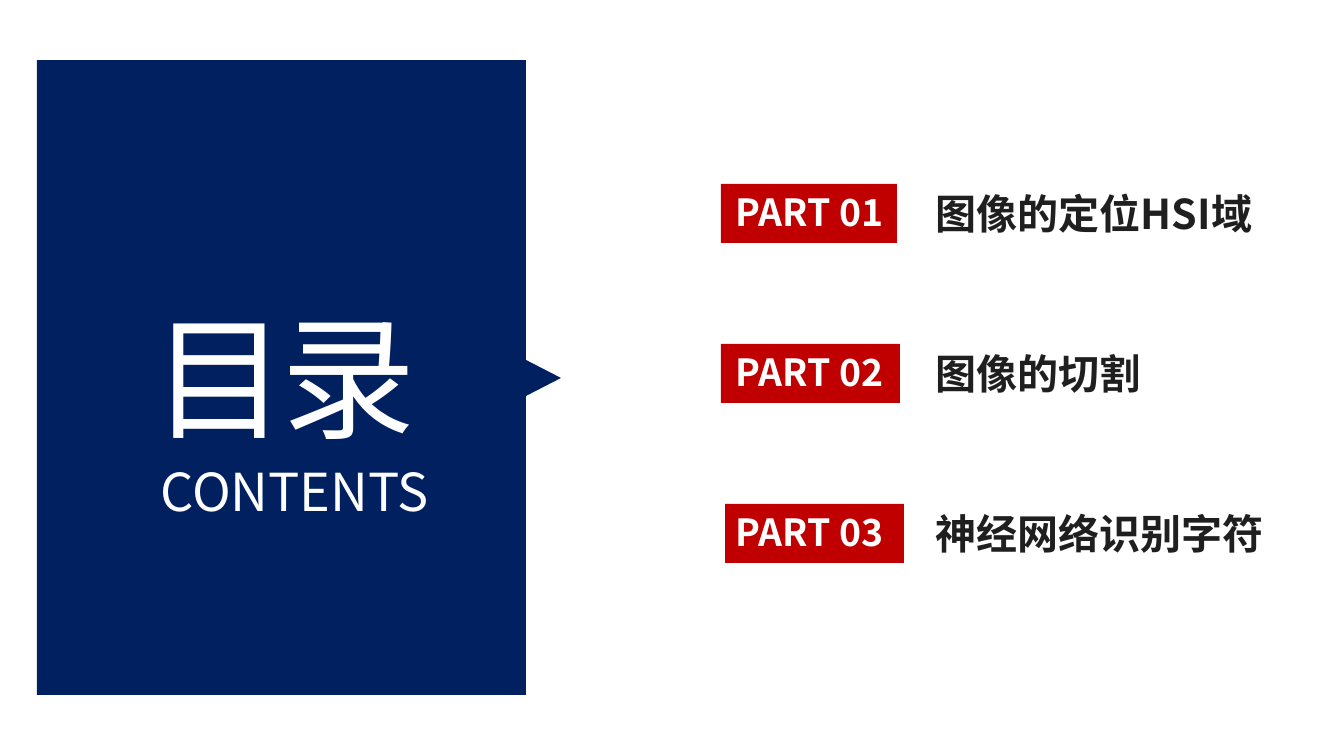
from lxml.etree import SubElement
from pptx import Presentation
from pptx.dml.color import RGBColor
from pptx.enum.shapes import MSO_SHAPE as Shape
from pptx.enum.text import MSO_ANCHOR as Anchor, MSO_AUTO_SIZE as AutoSize, PP_ALIGN as Align
from pptx.oxml.ns import qn
from pptx.util import Pt

NAVY = RGBColor(0x00, 0x20, 0x60)
RED = RGBColor(0xC0, 0x00, 0x00)
WHITE = RGBColor(0xFF, 0xFF, 0xFF)
INK = RGBColor(0x1F, 0x1F, 0x1F)
FONT = "Noto Sans CJK SC"
SLIDE_WIDTH, SLIDE_HEIGHT = 1344, 756
SCALE = 9144000 / SLIDE_WIDTH


def px(length):
    return round(length * SCALE)


class ContentsSlide:
    def __init__(self, deck):
        self.slide = deck.slides.add_slide(deck.slide_layouts[5])

    def block(self, kind, box, color, rotation=0):
        block = self.slide.shapes.add_shape(kind, *map(px, box))
        block.shadow.inherit = False
        block.fill.solid()
        block.fill.fore_color.rgb = color
        block.line.fill.background()
        block.rotation = rotation

    def set_words(self, holder, words, size, color, bold=False, align=Align.LEFT,
                  anchor=Anchor.TOP, spacing=0):
        frame = holder.text_frame
        frame.word_wrap = True
        frame.auto_size = AutoSize.NONE
        frame.vertical_anchor = anchor
        frame.margin_left = frame.margin_right = px(10)
        frame.margin_top = frame.margin_bottom = px(5)
        frame.text = words
        paragraph = frame.paragraphs[0]
        paragraph.alignment = align
        font = paragraph.font
        font.name, font.size, font.bold = FONT, Pt(size), bold
        font.color.rgb = color
        properties = paragraph._p.pPr.find(qn("a:defRPr"))
        SubElement(properties, qn("a:ea")).set("typeface", FONT)
        if spacing:
            properties.set("spc", str(spacing * 100))

    def text(self, box, words, size, color, **style):
        holder = self.slide.shapes.add_textbox(*map(px, box))
        self.set_words(holder, words, size, color, **style)

    def title(self, box, words, size, color, **style):
        title = self.slide.shapes.title
        title.left, title.top, title.width, title.height = map(px, box)
        self.set_words(title, words, size, color, **style)
        self.slide.shapes._spTree.append(title._element)


def main():
    deck = Presentation()
    deck.slide_width, deck.slide_height = px(SLIDE_WIDTH), px(SLIDE_HEIGHT)
    contents = ContentsSlide(deck)

    contents.block(Shape.RECTANGLE, (37, 60, 489, 635), NAVY)
    contents.block(Shape.ISOSCELES_TRIANGLE, (490, 343, 72, 70), NAVY, rotation=90)
    contents.title((85, 288, 399, 173), "目录", 72, WHITE,
                   align=Align.CENTER, anchor=Anchor.MIDDLE, spacing=-3)
    contents.text((136, 454, 317, 74), "CONTENTS", 28, WHITE, align=Align.CENTER)

    parts = [
        ("图像的定位HSI域", 721, 176, 345),
        ("图像的切割", 721, 179, 396),
        ("神经网络识别字符", 725, 179, 356),
    ]
    first_top, pitch = 184, 160
    for index, (topic, badge_left, badge_width, topic_width) in enumerate(parts):
        top = first_top + index * pitch
        contents.block(Shape.RECTANGLE, (badge_left, top, badge_width, 59), RED)
        contents.text((726, top, 187, 55), f"PART {index + 1:02}", 20, WHITE, bold=True)
        contents.text((926, top, topic_width, 60), topic, 22, INK, bold=True)

    deck.save("out.pptx")


if __name__ == "__main__":
    main()
